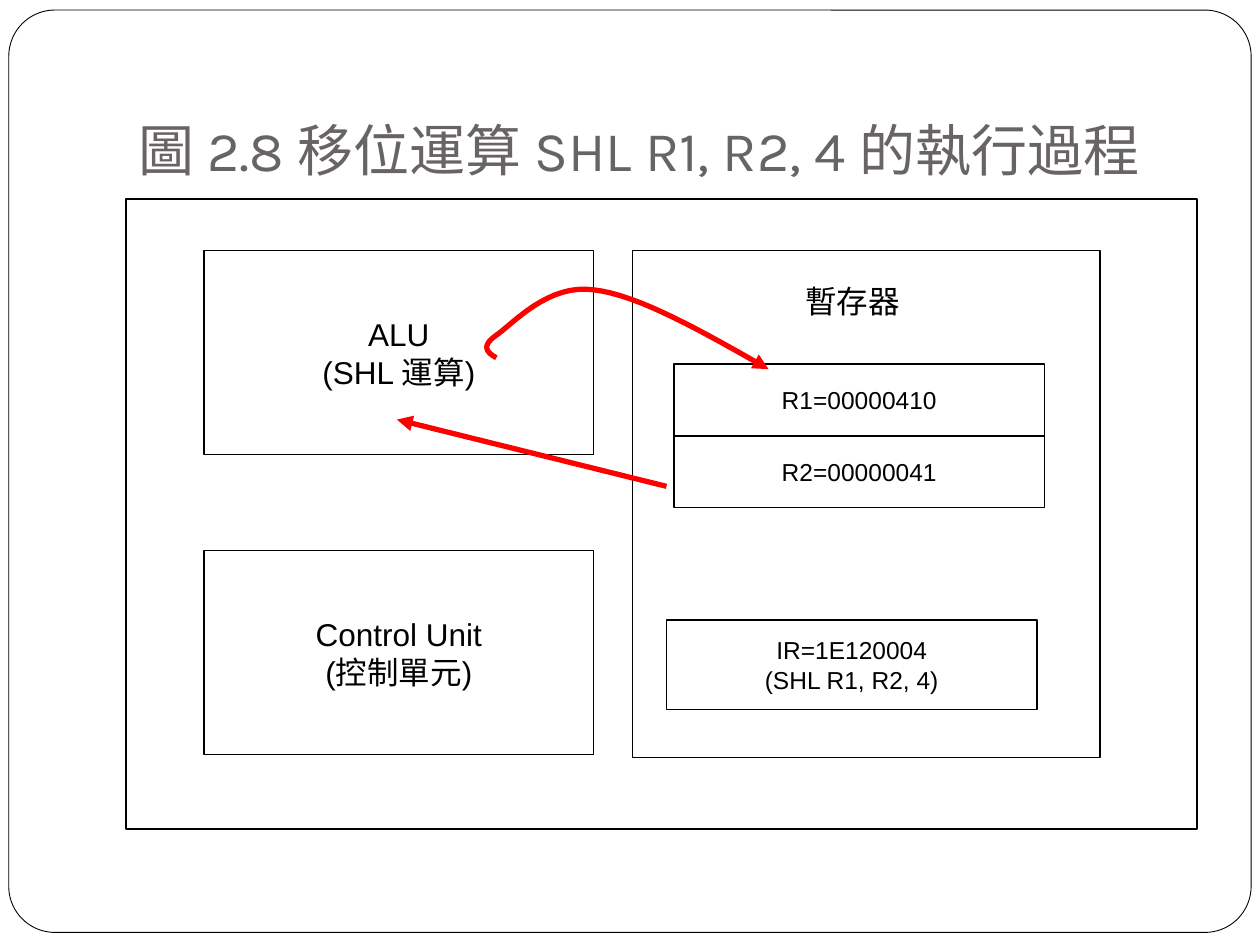
from dataclasses import dataclass

from lxml import etree
from pptx import Presentation
from pptx.dml.color import RGBColor
from pptx.enum.shapes import MSO_CONNECTOR, MSO_SHAPE
from pptx.enum.text import MSO_ANCHOR, MSO_AUTO_SIZE, PP_ALIGN
from pptx.oxml.ns import qn
from pptx.util import Inches, Pt

BLACK = RGBColor(0x00, 0x00, 0x00)
WHITE = RGBColor(0xFF, 0xFF, 0xFF)
RED = RGBColor(0xFF, 0x00, 0x00)
GREY = RGBColor(0x69, 0x64, 0x64)

RECTANGLE, ROUNDED = MSO_SHAPE.RECTANGLE, MSO_SHAPE.ROUNDED_RECTANGLE
STRAIGHT = MSO_CONNECTOR.STRAIGHT
LEFT, CENTER = PP_ALIGN.LEFT, PP_ALIGN.CENTER
TOP, MIDDLE, BOTTOM = MSO_ANCHOR.TOP, MSO_ANCHOR.MIDDLE, MSO_ANCHOR.BOTTOM
NO_AUTOFIT = MSO_AUTO_SIZE.NONE

WIDTH, HEIGHT = Inches(10), Inches(7.5)
COLUMN, ROW = WIDTH / 20, HEIGHT / 15
CURVE_STEPS = 16


@dataclass
class Box:
    """An area measured in grid columns and rows."""
    left: float
    top: float
    width: float
    height: float

    def inner(self, left, top, width, height):
        return Box(self.left + left, self.top + top, width, height)

    def point(self, x, y):
        return round((self.left + x) * COLUMN), round((self.top + y) * ROW)

    def extent(self):
        return (*self.point(0, 0), round(self.width * COLUMN), round(self.height * ROW))


def write(shape, lines, size, font="Arial", color=BLACK, align=CENTER, anchor=MIDDLE):
    frame = shape.text_frame
    frame.text = "\n".join(lines)
    frame.vertical_anchor = anchor
    for para in frame.paragraphs:
        para.alignment = align
        para.font.name = font
        para.font.size = Pt(size)
        para.font.color.rgb = color


def add_block(page, box, lines=(), size=18):
    block = page.shapes.add_shape(RECTANGLE, *box.extent())
    block.shadow.inherit = False
    block.fill.background()
    block.line.color.rgb = BLACK
    block.line.width = Pt(0.75)
    if lines:
        write(block, lines, size)
        block.text_frame.word_wrap = False


def add_page_frame(page, box):
    frame = page.shapes.add_shape(ROUNDED, *box.extent())
    frame.adjustments[0] = 0.05
    frame.shadow.inherit = False
    frame.fill.solid()
    frame.fill.fore_color.rgb = WHITE
    frame.line.color.rgb = BLACK
    frame.line.width = Pt(0.5)


def add_title(page, box):
    title = page.shapes.title
    page.shapes._spTree.append(title._element)  # in front of the frame
    title.left, title.top, title.width, title.height = box.extent()
    write(title, ["圖 2.8 移位運算 SHL R1, R2, 4 的執行過程"], 32, "Karla", GREY, LEFT, BOTTOM)
    title.text_frame.word_wrap = True
    title.text_frame.auto_size = NO_AUTOFIT
    title.text_frame.margin_bottom = Inches(0.1)


def add_registers(page, box):
    add_block(page, box)
    label = page.shapes.add_textbox(*box.inner(1.22, 0.4, 4.54, 0.8).extent())
    label.text_frame.word_wrap = True
    write(label, ["暫存器"], 18, anchor=TOP)
    height = 1.14
    for index, value in enumerate(("R1=00000410", "R2=00000041")):
        cell = box.inner(0.66, 1.8 + index * height, 5.88, height)
        add_block(page, cell, [value], 14)
    add_block(page, box.inner(0.54, 5.86, 5.88, 1.42), ["IR=1E120004", "(SHL R1, R2, 4)"], 14)


def style_arrow(arrow):
    arrow.line.color.rgb = RED
    arrow.line.width = Pt(3)
    etree.SubElement(arrow.line._get_or_add_ln(), qn("a:tailEnd"), type="triangle")


def curve_points(knots):
    """Points along joined cubic curves; each curve shares its end with the next."""
    points = [knots[0]]
    for first in range(0, len(knots) - 1, 3):
        curve = knots[first:first + 4]
        for step in range(1, CURVE_STEPS + 1):
            t = step / CURVE_STEPS
            weights = ((1 - t) ** 3, 3 * t * (1 - t) ** 2, 3 * t * t * (1 - t), t ** 3)
            points.append(tuple(sum(w * knot[axis] for w, knot in zip(weights, curve))
                                for axis in (0, 1)))
    return points


def add_data_flow(page, box):
    """Draw the operand arrow into the ALU and the result arrow back to R1."""
    operand = page.shapes.add_connector(STRAIGHT, *box.point(8.58, 4.56), *box.point(4.3, 3.5))
    style_arrow(operand)
    etree.SubElement(operand._element.spPr, qn("a:effectLst"))

    knots = [(5.88, 2.52), (5.74, 2.44), (5.62, 2.34), (5.88, 2.16), (6.14, 1.98),
             (6.7, 1.34), (7.42, 1.44), (8.14, 1.52), (9.18, 2.12), (10.2, 2.7)]
    start, *rest = [box.point(x, y) for x, y in curve_points(knots)]
    builder = page.shapes.build_freeform(*start)
    builder.add_line_segments(rest, close=False)
    result = builder.convert_to_shape()
    result.shadow.inherit = False
    result.fill.background()
    style_arrow(result)


def add_processor(page, box):
    add_block(page, box)
    units = (["ALU", "(SHL 運算)"], ["Control Unit", "(控制單元)"])
    for index, lines in enumerate(units):
        add_block(page, box.inner(1.24, 0.82 + index * 4.76, 6.18, 3.24), lines)
    add_registers(page, box.inner(8.04, 0.82, 7.42, 8.04))
    add_data_flow(page, box)


def main():
    deck = Presentation()
    deck.slide_width, deck.slide_height = WIDTH, HEIGHT
    page = deck.slides.add_slide(deck.slide_layouts[5])
    add_page_frame(page, Box(0.14, 0.16, 19.72, 14.64))
    add_title(page, Box(2, 0.6, 17, 2.5))
    add_processor(page, Box(2, 3.16, 17, 10))
    deck.save("out.pptx")


if __name__ == "__main__":
    main()
